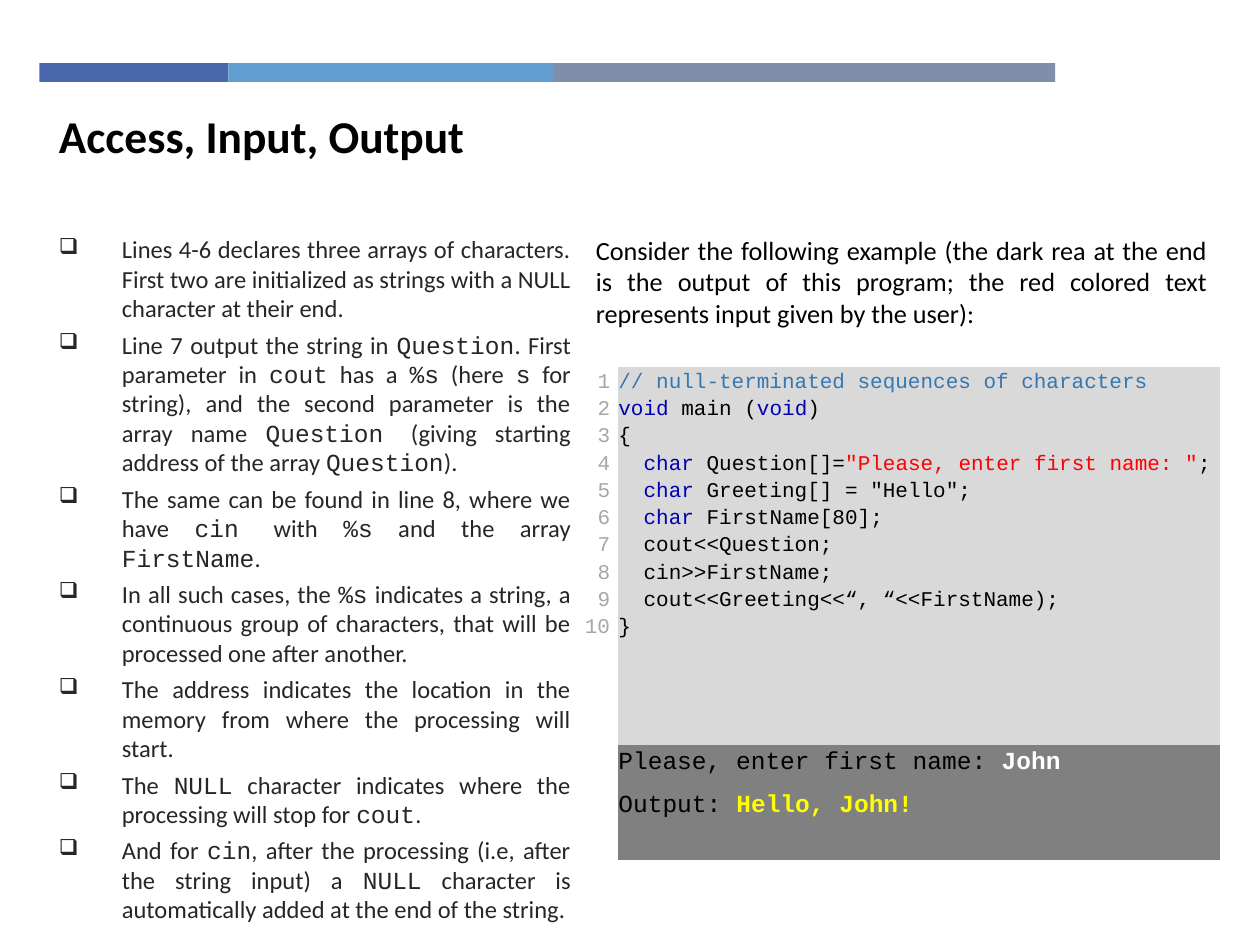
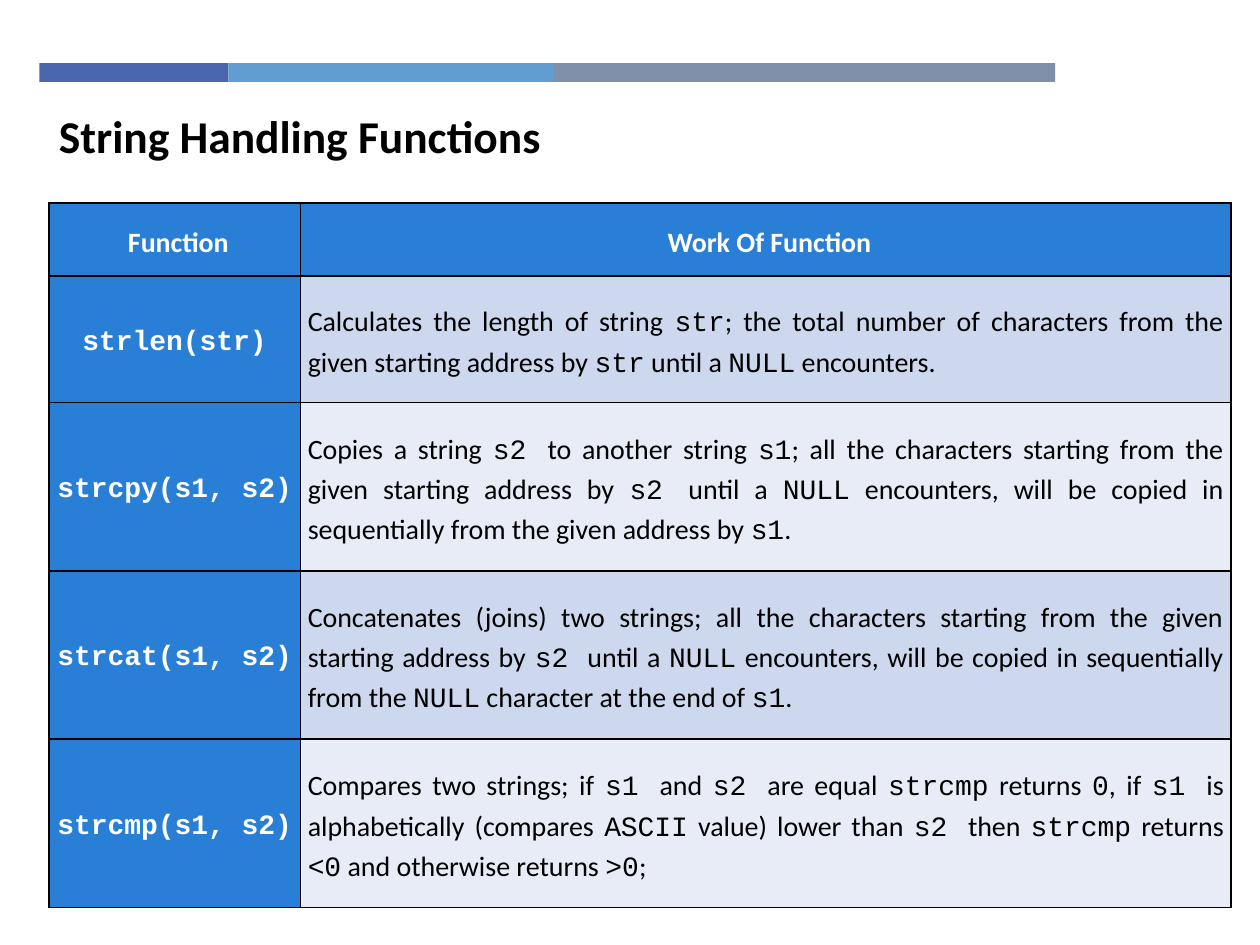
"""Build two slides on C strings: a worked input/output example and a table of string functions."""
from lxml import etree
from pptx import Presentation
from pptx.dml.color import RGBColor
from pptx.enum.shapes import MSO_SHAPE
from pptx.enum.text import MSO_ANCHOR, PP_ALIGN
from pptx.oxml.ns import qn
from pptx.util import Pt

RECTANGLE = MSO_SHAPE.RECTANGLE
MIDDLE = MSO_ANCHOR.MIDDLE
LEFT, CENTER, RIGHT, JUSTIFY = PP_ALIGN.LEFT, PP_ALIGN.CENTER, PP_ALIGN.RIGHT, PP_ALIGN.JUSTIFY
TEXT_FONT, CODE_FONT = "Calibri", "Courier New"
BLACK, WHITE, BODY_GRAY, NUMBER_GRAY = "000000", "FFFFFF", "262626", "A6A6A6"
KEYWORD, COMMENT, RED, YELLOW = "0000B0", "3477B2", "FF0000", "FFFF00"
CODE_FILL, OUTPUT_FILL, HEADER_FILL = "D9D9D9", "808080", "297FD5"
ROW_FILLS = ["CDD8EF", "E8ECF7"]
BANDS = [(108, "4A66AC"), (186, "629DD1"), (286.5, "7F8FA9")]
NO_STYLE = "{2D5ABB26-0587-4C30-8999-92F81FD0307C}"
LINE_SPACING = 1.15

rgb = RGBColor.from_string


def write(paragraph, text, size, color, bold=False, font=TEXT_FONT):
    """Add text to a paragraph, with the parts between backticks in the code font."""
    for index, part in enumerate(text.split("`")):
        if part:
            run = paragraph.add_run()
            run.text = part
            run.font.name = CODE_FONT if index % 2 else font
            run.font.size = Pt(size)
            run.font.bold = bold
            run.font.color.rgb = rgb(color)


def add_plain_table(slide, left, top, widths, heights):
    """Add an unstyled table with the given column widths and row heights."""
    table = slide.shapes.add_table(len(heights), len(widths), Pt(left), Pt(top),
                                   Pt(sum(widths)), Pt(sum(heights))).table
    table._tbl.tblPr.find(qn("a:tableStyleId")).text = NO_STYLE
    for column, width in zip(table.columns, widths):
        column.width = Pt(width)
    for row, height in zip(table.rows, heights):
        row.height = Pt(height)
    return table


presentation = Presentation()
presentation.slide_width = Pt(720)
presentation.slide_height = Pt(540)

slides = []
for title in ["Access, Input, Output", "String Handling Functions"]:
    slide = presentation.slides.add_slide(presentation.slide_layouts[6])
    band_left = 22.5
    for width, color in BANDS:
        band = slide.shapes.add_shape(RECTANGLE, Pt(band_left), Pt(36), Pt(width), Pt(10.8))
        band.shadow.inherit = False
        band.fill.solid()
        band.fill.fore_color.rgb = rgb(color)
        band.line.fill.background()
        band_left += width
    title_frame = slide.shapes.add_textbox(Pt(26.6), Pt(57.6), Pt(515.5), Pt(39)).text_frame
    title_frame.word_wrap = True
    title_frame.vertical_anchor = MIDDLE
    write(title_frame.paragraphs[0], title, 26, BLACK, bold=True)
    slides.append(slide)
example_slide, functions_slide = slides

explanations = [
    "Lines 4-6 declares three arrays of characters. First two are initialized as strings "
    "with a NULL character at their end.",
    "Line 7 output the string in `Question`. First parameter in `cout` has a `%s` (here `s` "
    "for string), and the second parameter is the array name `Question `(giving starting "
    "address of the array `Question`).",
    "The same can be found in line 8, where we have `cin `with `%s` and the array `FirstName`.",
    "In all such cases, the `%s` indicates a string, a continuous group of characters, "
    "that will be processed one after another.",
    "The address indicates the location in the memory from where the processing will start.",
    "The `NULL` character indicates where the processing will stop for `cout`.",
    "And for `cin`, after the processing (i.e, after the string input) a `NULL` character "
    "is automatically added at the end of the string.",
]
body_frame = example_slide.shapes.add_textbox(Pt(26.6), Pt(130.3), Pt(306.7), Pt(409.7)).text_frame
body_frame.word_wrap = True
for index, explanation in enumerate(explanations):
    paragraph = body_frame.add_paragraph() if index else body_frame.paragraphs[0]
    paragraph.alignment = JUSTIFY
    paragraph.space_before = paragraph.space_after = Pt(2)
    write(paragraph, explanation, 14, BODY_GRAY)
    properties = paragraph._p.get_or_add_pPr()
    properties.set("marL", str(Pt(36)))
    properties.set("indent", str(-Pt(36)))
    etree.SubElement(properties, qn("a:buSzPct")).set("val", "90000")
    etree.SubElement(properties, qn("a:buChar")).set("char", "❑")

intro_frame = example_slide.shapes.add_textbox(Pt(333.4), Pt(130.3), Pt(363.6), Pt(62)).text_frame
intro_frame.word_wrap = True
intro_frame.paragraphs[0].alignment = JUSTIFY
write(intro_frame.paragraphs[0],
      "Consider the following example (the dark rea at the end is the output of this program; "
      "the red colored text represents input given by the user):", 15, BLACK)

code_lines = [
    [("// null-terminated sequences of characters", COMMENT)],
    [("void ", KEYWORD), ("main (", BLACK), ("void", KEYWORD), (")", BLACK)],
    [("{", BLACK)],
    [("  char", KEYWORD), (" Question[]=", BLACK), ('"Please, enter first name: "', RED), (";", BLACK)],
    [("  char", KEYWORD), (' Greeting[] = "Hello";', BLACK)],
    [("  char ", KEYWORD), ("FirstName[80];", BLACK)],
    [("  cout<<Question;", BLACK)],
    [("  cin>>FirstName;", BLACK)],
    [("  cout<<Greeting<<“, “<<FirstName);", BLACK)],
    [("}", BLACK)],
]
output_lines = [
    [("Please, enter first name: ", BLACK), ("John", WHITE)],
    [("Output: ", BLACK), ("Hello, John!", YELLOW)],
]
number_lines = [[(str(number), NUMBER_GRAY)] for number in range(1, len(code_lines) + 1)]

code_table = add_plain_table(example_slide, 333.4, 209.5, [19.5, 344.2], [216, 66.2])
code_cells = [
    (0, 0, number_lines, 12, RIGHT, None),
    (0, 1, code_lines, 12, LEFT, CODE_FILL),
    (1, 0, [], 14, RIGHT, None),
    (1, 1, output_lines, 14, LEFT, OUTPUT_FILL),
]
for row, column, lines, size, alignment, fill_color in code_cells:
    cell = code_table.cell(row, column)
    cell.margin_left = cell.margin_top = cell.margin_bottom = Pt(0.5)
    cell.margin_right = Pt(0.5 if column else 4.3)
    if fill_color:
        cell.fill.solid()
        cell.fill.fore_color.rgb = rgb(fill_color)
    for index, line in enumerate(lines):
        paragraph = cell.text_frame.add_paragraph() if index else cell.text_frame.paragraphs[0]
        paragraph.alignment = alignment
        paragraph.line_spacing = LINE_SPACING
        if lines is output_lines and index:
            paragraph.space_before = paragraph.space_after = Pt(6)
        for text, color in line:
            write(paragraph, text, size, color, color in (WHITE, YELLOW), CODE_FONT)

function_rows = [
    ("Function", "Work Of Function"),
    ("`strlen(str)`",
     "Calculates the length of string `str`; the total number of characters from the given "
     "starting address by `str` until a `NULL` encounters."),
    ("`strcpy(s1, s2)`",
     "Copies a string `s2 `to another string `s1`; all the characters starting from the given "
     "starting address by `s2 `until a `NULL` encounters, will be copied in sequentially from "
     "the given address by `s1`."),
    ("`strcat(s1, s2)`",
     "Concatenates (joins) two strings; all the characters starting from the given starting "
     "address by `s2 `until a `NULL` encounters, will be copied in sequentially from the `NULL` "
     "character at the end of `s1`."),
    ("`strcmp(s1, s2)`",
     "Compares two strings; if `s1 `and `s2 `are equal `strcmp` returns `0`, if `s1 `is "
     "alphabetically (compares `ASCII` value) lower than `s2 `then `strcmp` returns `<0` and "
     "otherwise returns `>0`;"),
]
function_table = add_plain_table(functions_slide, 28, 116, [143.6, 532], [41.6, 72.4] + [96.2] * 3)
for row, texts in enumerate(function_rows):
    for column, text in enumerate(texts):
        is_header = row == 0 or column == 0
        cell = function_table.cell(row, column)
        cell.vertical_anchor = MIDDLE
        cell.margin_left = Pt(4.3)
        cell.margin_right = Pt(4.3 if row else 0)
        cell.margin_top = Pt(1.4 if row else 2.2)
        cell.margin_bottom = Pt(0 if row else 1.4)
        cell.fill.solid()
        cell.fill.fore_color.rgb = rgb(HEADER_FILL if is_header else ROW_FILLS[(row - 1) % 2])
        paragraph = cell.text_frame.paragraphs[0]
        paragraph.alignment = CENTER if is_header else JUSTIFY
        paragraph.line_spacing = LINE_SPACING
        write(paragraph, text, 16, WHITE if is_header else BLACK, bold=is_header)
        properties = cell._tc.get_or_add_tcPr()
        for position, side in enumerate(["lnL", "lnR", "lnT", "lnB"]):
            border = etree.Element(qn(f"a:{side}"), w=str(Pt(1)))
            border_fill = etree.SubElement(border, qn("a:solidFill"))
            etree.SubElement(border_fill, qn("a:srgbClr")).set("val", BLACK)
            properties.insert(position, border)

presentation.save("out.pptx")
